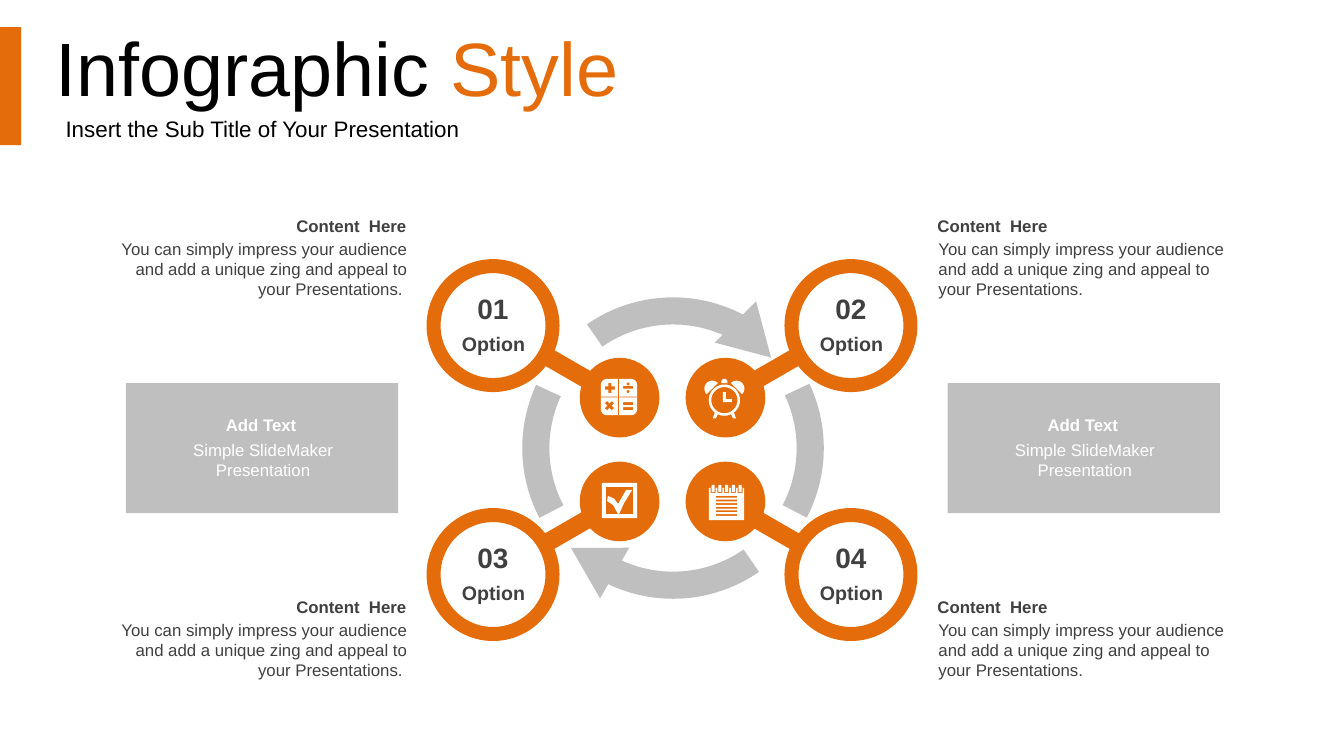
import math
from dataclasses import dataclass

from pptx import Presentation, util as u
from pptx.dml.color import RGBColor
from pptx.enum import shapes, text

PX = 9144
SHAPE = shapes.MSO_SHAPE
LEFT, CENTER, RIGHT = text.PP_ALIGN.LEFT, text.PP_ALIGN.CENTER, text.PP_ALIGN.RIGHT


def emu(px):
    return u.Emu(round(px * PX))


@dataclass(frozen=True)
class Theme:
    font: str = "Arial"
    accent: str = "E46C0A"
    gray: str = "BFBFBF"
    dark: str = "404040"
    black: str = "000000"
    white: str = "FFFFFF"
    title: int = 54
    subtitle: int = 16
    number: int = 20
    option: int = 14
    body: int = 12
    ring: int = 10


class Canvas:
    def __init__(self, slide, theme):
        self.slide = slide
        self.theme = theme

    def paint(self, sp, fill, line=None):
        sp.shadow.inherit = False
        sp.fill.solid()
        sp.fill.fore_color.rgb = RGBColor.from_string(fill)
        if line:
            sp.line.color.rgb = RGBColor.from_string(line)
            sp.line.width = u.Pt(self.theme.ring)
        else:
            sp.line.fill.background()

    def shape(self, kind, x, y, w, h, fill, line=None, rotation=0):
        sp = self.slide.shapes.add_shape(kind, *map(emu, (x, y, w, h)))
        sp.rotation = rotation
        self.paint(sp, fill, line)
        return sp

    def arc(self, rotation, start, end):
        sp = self.shape(SHAPE.BLOCK_ARC, 518, 295, 299, 299, self.theme.gray, rotation=rotation)
        for i, value in enumerate((start * 0.6, end * 0.6, 0.09)):
            sp.adjustments[i] = value

    def text(self, x, y, w, h, runs, size, align=LEFT, bold=False, middle=False,
             inset=None, spacing=None):
        tf = self.slide.shapes.add_textbox(*map(emu, (x, y, w, h))).text_frame
        tf.word_wrap = True
        tf.vertical_anchor = text.MSO_ANCHOR.MIDDLE if middle else text.MSO_ANCHOR.TOP
        if inset:
            tf.margin_left, tf.margin_top = emu(inset), emu(10)
        else:
            tf.auto_size = text.MSO_AUTO_SIZE.SHAPE_TO_FIT_TEXT
        p = tf.paragraphs[0]
        p.alignment = align
        if spacing:
            p.line_spacing = spacing
        for words, color in runs:
            r = p.add_run()
            r.text = words
            r.font.name = self.theme.font
            r.font.size = u.Pt(size)
            r.font.bold = bold
            r.font.color.rgb = RGBColor.from_string(color)

    def icon(self, contours):
        fb = None
        for contour in contours:
            points = [(emu(x), emu(y)) for x, y in contour]
            if fb is None:
                fb = self.slide.shapes.build_freeform(*points[0], scale=1.0)
            else:
                fb.move_to(*points[0])
            fb.add_line_segments(points[1:], close=True)
        self.paint(fb.convert_to_shape(), self.theme.white)


def rect(x, y, w, h):
    return [(x, y), (x + w, y), (x + w, y + h), (x, y + h)]


def curve(cx, cy, radius, start=0, end=360, steps=36):
    angles = [math.radians(start + (end - start) * i / steps) for i in range(steps + 1)]
    return [(cx + radius * math.cos(a), cy + radius * math.sin(a)) for a in angles]


def rounded(x, y, side, radius):
    near, far = radius, side - radius
    corners = [(near, near), (far, near), (far, far), (near, far)]
    return [point for i, (dx, dy) in enumerate(corners)
            for point in curve(x + dx, y + dy, radius, 180 + 90 * i, 270 + 90 * i, 8)]


def plus(cx, cy, reach, half, degrees=0):
    points = []
    for turn in range(4):
        a = math.radians(degrees + 90 * turn)
        for dx, dy in ((reach, -half), (reach, half), (half, half)):
            points.append((cx + dx * math.cos(a) - dy * math.sin(a),
                           cy + dx * math.sin(a) + dy * math.cos(a)))
    return points


def calculator():
    return [rounded(596, 376, 36, 6), rect(613, 376, 1, 36),
            rect(596, 393.5, 17, 0.7), rect(614, 393.5, 18, 0.7),
            plus(605, 385, 5, 1.5), plus(604.5, 402.5, 5, 1.6, 45),
            rect(618, 383, 10, 2.5), curve(623, 381, 1.5), curve(623, 388.5, 1.5),
            rect(618, 399, 10, 3), rect(618, 404, 10, 3)]


def alarm_clock():
    cx, cy = 718.5, 397
    contours = [curve(cx, cy, 15.5), curve(cx, cy, 13),
                [(717, 389), (720, 389), (720, 396), (726, 396), (726, 399), (717, 399)],
                [(715.5, 380), (715.5, 378), (717, 376), (720, 376), (721.5, 378), (721.5, 380)]]
    for side, start in ((-1, 135), (1, 225)):
        contours.append(curve(cx + side * 12, 385.5, 7.8, start, start + 180))
        contours.append([(cx + side * dx, y) for dx, y in
                         ((9.5, 409.5), (6.5, 411), (8.5, 415), (11.5, 415))])
    return contours


def checkbox():
    return [rect(597, 479, 35, 35), rect(601, 483, 27, 27),
            [(602, 497), (603, 492), (609, 494.5), (613, 500), (621, 486),
             (627, 486), (619, 499), (614, 510), (613, 510), (608, 501)]]


def notepad():
    contours = [rect(703, 484, 35, 32)]
    for i in range(5):
        x = 707.3 + 6.7 * i
        contours += [rect(x - 2.5, 484, 5, 5), rect(x - 1.5, 481, 3, 7)]
    return contours + [rect(710, 492 + 3.6 * i, 21, 1.8) for i in range(6)]


def main():
    prs = Presentation()
    prs.slide_width, prs.slide_height = u.Inches(13.33), u.Inches(7.5)
    theme = Theme()
    c = Canvas(prs.slides.add_slide(prs.slide_layouts[6]), theme)

    c.shape(SHAPE.RECTANGLE, 0, 27, 21, 117, theme.accent)
    c.text(45, 29, 1255, 79, [("Infographic ", theme.black), ("Style", theme.accent)],
           theme.title, middle=True, inset=10, spacing=0.9)
    c.text(45, 108, 1255, 38, [("Insert the Sub Title of Your Presentation", theme.black)],
           theme.subtitle, middle=True, inset=20, spacing=0.9)

    message = "You can simply impress your audience and add a unique zing and appeal to your Presentations."
    for x, align, ending in ((106, RIGHT, " "), (920, LEFT, "")):
        for y in (209, 587):
            c.text(x, y, 307, 30, [("Content  Here", theme.dark)], theme.body, align,
                   bold=True, middle=True)
            c.text(x + 1, y + 23, 307, 71, [(message + ending, theme.dark)], theme.body, align)

    for x in (125, 940):
        c.shape(SHAPE.RECTANGLE, x, 380, 270, 129, theme.gray)
        c.text(x + 48, 407, 172, 30, [("Add Text", theme.white)], theme.body, CENTER, bold=True)
        c.text(x + 50, 431, 172, 50, [("Simple SlideMaker Presentation", theme.white)],
               theme.body, CENTER)

    for row in range(2):
        for col in range(2):
            ring_x, ring_y = 430 + 355 * col, 264 + 247 * row
            c.shape(SHAPE.OVAL, ring_x, ring_y, 118, 118, theme.white, theme.accent)
            c.shape(SHAPE.OVAL, 575 + 105 * col, 355 + 103 * row, 79, 79, theme.accent)
            c.shape(SHAPE.RECTANGLE, 539 + 205 * col, 357 + 160 * row, 50, 18, theme.accent,
                    rotation=30 if row == col else 330)
            c.text(ring_x + 5, ring_y + 60, 109, 34, [("Option", theme.dark)],
                   theme.option, CENTER, bold=True)
            c.text(ring_x + 24, ring_y + 20, 70, 44, [(f"{1 + 2 * row + col:02}", theme.dark)],
                   theme.number, CENTER, bold=True, middle=True)

    for rotation, start, end in ((90, 244.75, 297.5), (270, 242.4, 294.8),
                                 (0, 235.2, 306), (180, 235.2, 306)):
        c.arc(rotation, start, end)
    for x, y, rotation in ((718, 312, 135), (559, 531, 300)):
        c.shape(SHAPE.ISOSCELES_TRIANGLE, x, y, 58, 50, theme.gray, rotation=rotation)

    for contours in (alarm_clock(), notepad(), calculator(), checkbox()):
        c.icon(contours)

    prs.save("out.pptx")


if __name__ == "__main__":
    main()
